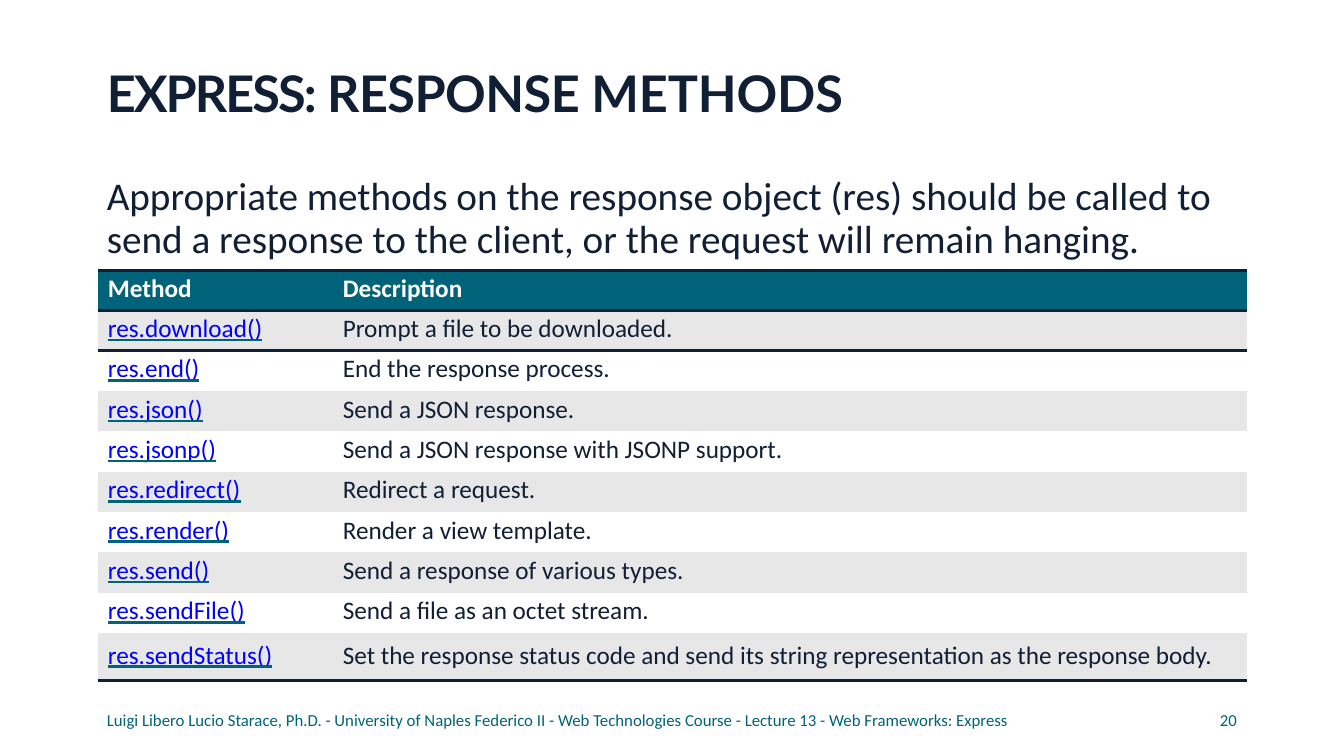
from lxml import etree
from pptx import Presentation
from pptx import util as u
from pptx.dml.color import RGBColor
from pptx.oxml.ns import qn

COLORS = {"ink": "111F35", "teal": "006379", "band": "E7E7E8",
          "white": "FFFFFF", "link": "0000FF"}
FOOTER = ("Luigi Libero Lucio Starace, Ph.D. - University of Naples Federico II - "
          "Web Technologies Course - Lecture 13 - Web Frameworks: Express")
INTRO = ("Appropriate methods on the response object (res) should be called to "
         "send a response to the client, or the request will remain hanging.")
METHODS = [
    ("Method", "Description"),
    ("res.download()", "Prompt a file to be downloaded."),
    ("res.end()", "End the response process."),
    ("res.json()", "Send a JSON response."),
    ("res.jsonp()", "Send a JSON response with JSONP support."),
    ("res.redirect()", "Redirect a request."),
    ("res.render()", "Render a view template."),
    ("res.send()", "Send a response of various types."),
    ("res.sendFile()", "Send a file as an octet stream."),
    ("res.sendStatus()", "Set the response status code and send its string "
                         "representation as the response body."),
]
COLUMN_WIDTHS = (2.08, 9.32)
COLUMN_INDENTS = (0.1, 0.35)
RULED_EDGES = (0, 1, 2, len(METHODS))


def rgb(name):
    return RGBColor.from_string(COLORS[name])


def apply_format(target, values):
    for attribute, value in values.items():
        setattr(target, attribute, value)


def add_run(paragraph, words, size, color, font="Calibri", tracking=0, **style):
    """Append a run; tracking is letter spacing in points."""
    run = paragraph.add_run()
    run.text = words
    apply_format(run.font, {"size": u.Pt(size), "name": font, **style})
    run.font.color.rgb = rgb(color)
    if tracking:
        run._r.get_or_add_rPr().set("spc", str(round(tracking * 100)))
    return run


def add_solid_fill(parent, color):
    fill = etree.SubElement(parent, qn("a:solidFill"))
    etree.SubElement(fill, qn("a:srgbClr"), val=COLORS[color])


def color_underline(run, color):
    underline = etree.Element(qn("a:uFill"))
    add_solid_fill(underline, color)
    run._r.get_or_add_rPr().find(qn("a:solidFill")).addnext(underline)


def add_text(slide, left, top, width, height, runs, inset=0, **spacing):
    """Add a text box of one paragraph; runs are dicts for add_run."""
    box = slide.shapes.add_textbox(*map(u.Inches, (left, top, width, height)))
    apply_format(box.text_frame, {
        "word_wrap": True, "margin_left": 0, "margin_right": 0,
        "margin_top": u.Inches(inset), "margin_bottom": 0})
    paragraph = box.text_frame.paragraphs[0]
    apply_format(paragraph, spacing)
    for run in runs:
        add_run(paragraph, **run)


def rule_cell(cell, row):
    """Draw the ruled horizontal edges of a cell and clear the others."""
    properties = cell._tc.get_or_add_tcPr()
    ruled = {"L": False, "R": False,
             "T": row in RULED_EDGES, "B": row + 1 in RULED_EDGES}
    for position, (side, visible) in enumerate(ruled.items()):
        line = etree.Element(qn(f"a:ln{side}"), w=str(u.Pt(2.25)))
        if visible:
            add_solid_fill(line, "ink")
        else:
            etree.SubElement(line, qn("a:noFill"))
        properties.insert(position, line)


def fill_cell(cell, row, column, words):
    header, last = row == 0, row == len(METHODS) - 1
    apply_format(cell, {
        "margin_left": u.Inches(COLUMN_INDENTS[column]), "margin_right": 0,
        "margin_top": u.Inches(0.07 if last else 0.03), "margin_bottom": 0})
    if header or row % 2:
        cell.fill.solid()
        cell.fill.fore_color.rgb = rgb("teal" if header else "band")
    else:
        cell.fill.background()
    rule_cell(cell, row)

    paragraph = cell.text_frame.paragraphs[0]
    paragraph.space_before = u.Pt(4.8 if last else 2.4)
    linked = column == 0 and not header
    color = "white" if header else "link" if linked else "ink"
    run = add_run(paragraph, words, 18, color, bold=header, underline=linked)
    if linked:
        color_underline(run, "teal")


def add_method_table(slide):
    row_heights = [0.4] * (len(METHODS) - 1) + [0.47]
    table = slide.shapes.add_table(
        len(METHODS), len(COLUMN_WIDTHS), u.Inches(0.97), u.Inches(2.68),
        u.Inches(sum(COLUMN_WIDTHS)), u.Inches(sum(row_heights))).table
    for column, width in zip(table.columns, COLUMN_WIDTHS):
        column.width = u.Inches(width)
    for row, (height, entries) in enumerate(zip(row_heights, METHODS)):
        table.rows[row].height = u.Inches(height)
        for column, words in enumerate(entries):
            fill_cell(table.cell(row, column), row, column, words)


def main():
    deck = Presentation()
    deck.slide_width, deck.slide_height = u.Inches(13.33), u.Inches(7.5)
    slide = deck.slides.add_slide(deck.slide_layouts[6])

    for left, width, words in ((1.06, 8.99, FOOTER), (12.1, 0.27, "20")):
        add_text(slide, left, 7.07, width, 0.19,
                 [{"words": words, "size": 12, "color": "teal"}],
                 line_spacing=u.Pt(12.4))

    title = (("EXPRESS: ", -1.4), ("RESPONSE ", -0.4), ("METHODS", -0.1))
    add_text(slide, 1.06, 0.61, 10.57, 0.63,
             [{"words": words, "tracking": tracking, "size": 36, "color": "ink",
               "font": "Lato", "bold": True} for words, tracking in title],
             inset=0.01, space_before=u.Pt(1))
    add_text(slide, 1.06, 1.68, 11, 0.91,
             [{"words": INTRO, "size": 28, "color": "ink"}],
             inset=0.07, line_spacing=u.Pt(30.3), space_before=u.Pt(4.8))
    add_method_table(slide)
    deck.save("out.pptx")


if __name__ == "__main__":
    main()
